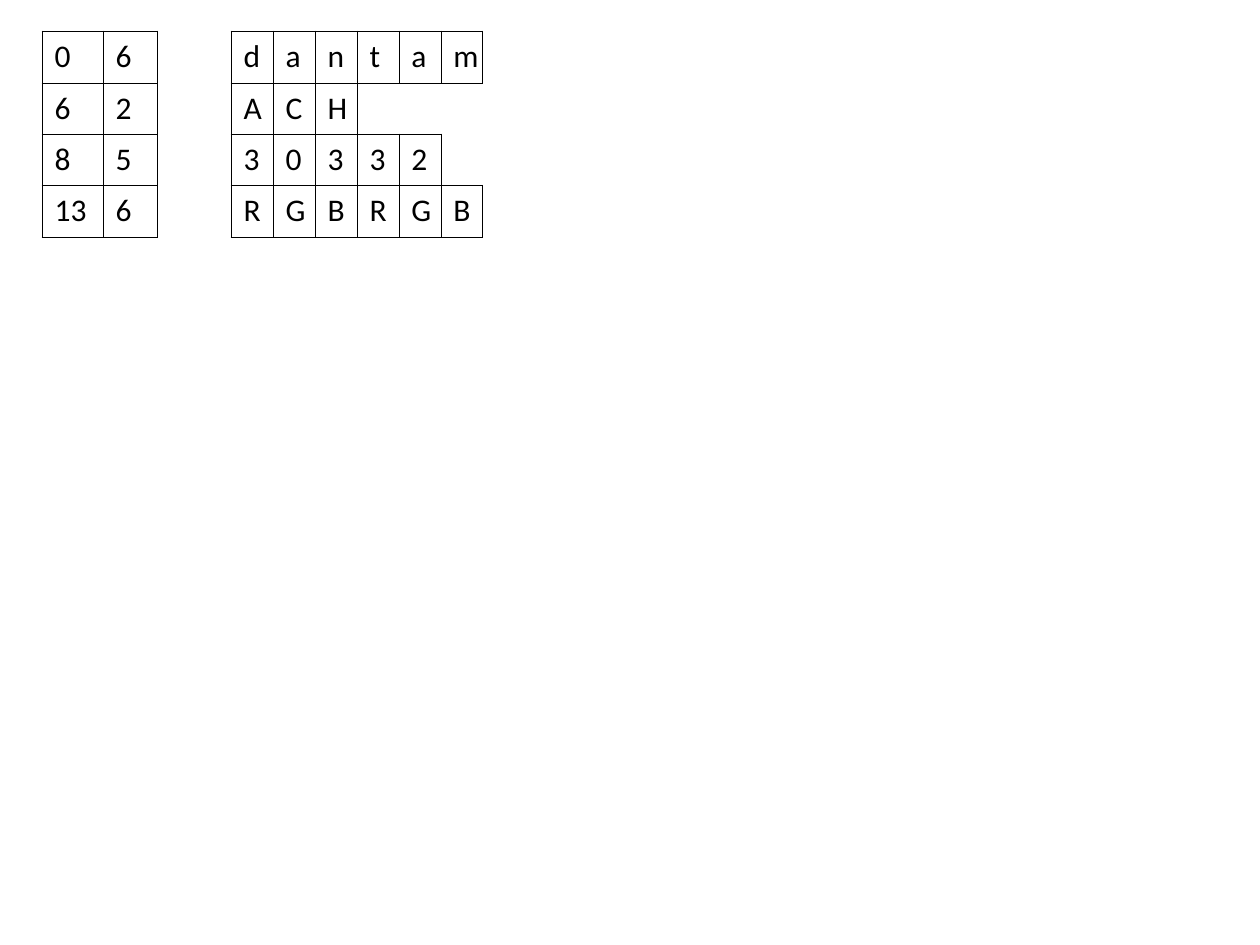
from lxml.etree import SubElement
from pptx import Presentation
from pptx.dml.color import RGBColor
from pptx.oxml.ns import qn
from pptx.util import Emu, Pt

# Content: offset and length of each string, and the characters of each string
SPANS = [("0", "6"), ("6", "2"), ("8", "5"), ("13", "6")]
STRINGS = ["dantam", "ACH", "30332", "RGBRGB"]

# Layout in px
SCALE = 914400 / 126
TOP = 31
ROW_HEIGHTS = [52, 51, 51, 52]
SPANS_LEFT, SPANS_COLUMNS = 42, [61, 54]
STRINGS_LEFT, STRINGS_COLUMNS = 231, [42] * 6
INK = "000000"
LINE_WIDTH = Pt(0.45)
SIDES = {"a:lnL": (0, -1), "a:lnR": (0, 1), "a:lnT": (-1, 0), "a:lnB": (1, 0)}


def px(length):
    return Emu(round(length * SCALE))


def color(value):
    return RGBColor.from_string(value)


def has_text(rows, row, column):
    return 0 <= row < len(rows) and 0 <= column < len(rows[row])


def set_border(cell, side, visible):
    line = SubElement(cell._tc.get_or_add_tcPr(), qn(side), w=str(LINE_WIDTH))
    if visible:
        fill = SubElement(line, qn("a:solidFill"))
        SubElement(fill, qn("a:srgbClr"), val=INK)
    else:
        SubElement(line, qn("a:noFill"))


def add_grid(page, left, columns, rows):
    frame = page.shapes.add_table(len(rows), len(columns), px(left), px(TOP),
                                  px(sum(columns)), px(sum(ROW_HEIGHTS)))
    table = frame.table
    table.first_row = table.horz_banding = False
    for column, width in zip(table.columns, columns):
        column.width = px(width)
    for row, height in zip(table.rows, ROW_HEIGHTS):
        row.height = px(height)

    for r in range(len(rows)):
        for c in range(len(columns)):
            cell = table.cell(r, c)
            filled = has_text(rows, r, c)
            # An edge shows when the cell on either side of it holds text
            for side, (down, across) in SIDES.items():
                set_border(cell, side, filled or has_text(rows, r + down, c + across))
            cell.fill.background()
            if filled:
                cell.text = rows[r][c]
            para = cell.text_frame.paragraphs[0]
            para.font.name = "Calibri"
            para.font.size = Pt(18)
            para.font.color.rgb = color(INK)


deck = Presentation()
deck.slide_width, deck.slide_height = px(1260), px(945)
page = deck.slides.add_slide(deck.slide_layouts[6])

add_grid(page, SPANS_LEFT, SPANS_COLUMNS, SPANS)
add_grid(page, STRINGS_LEFT, STRINGS_COLUMNS, STRINGS)

deck.save("out.pptx")
